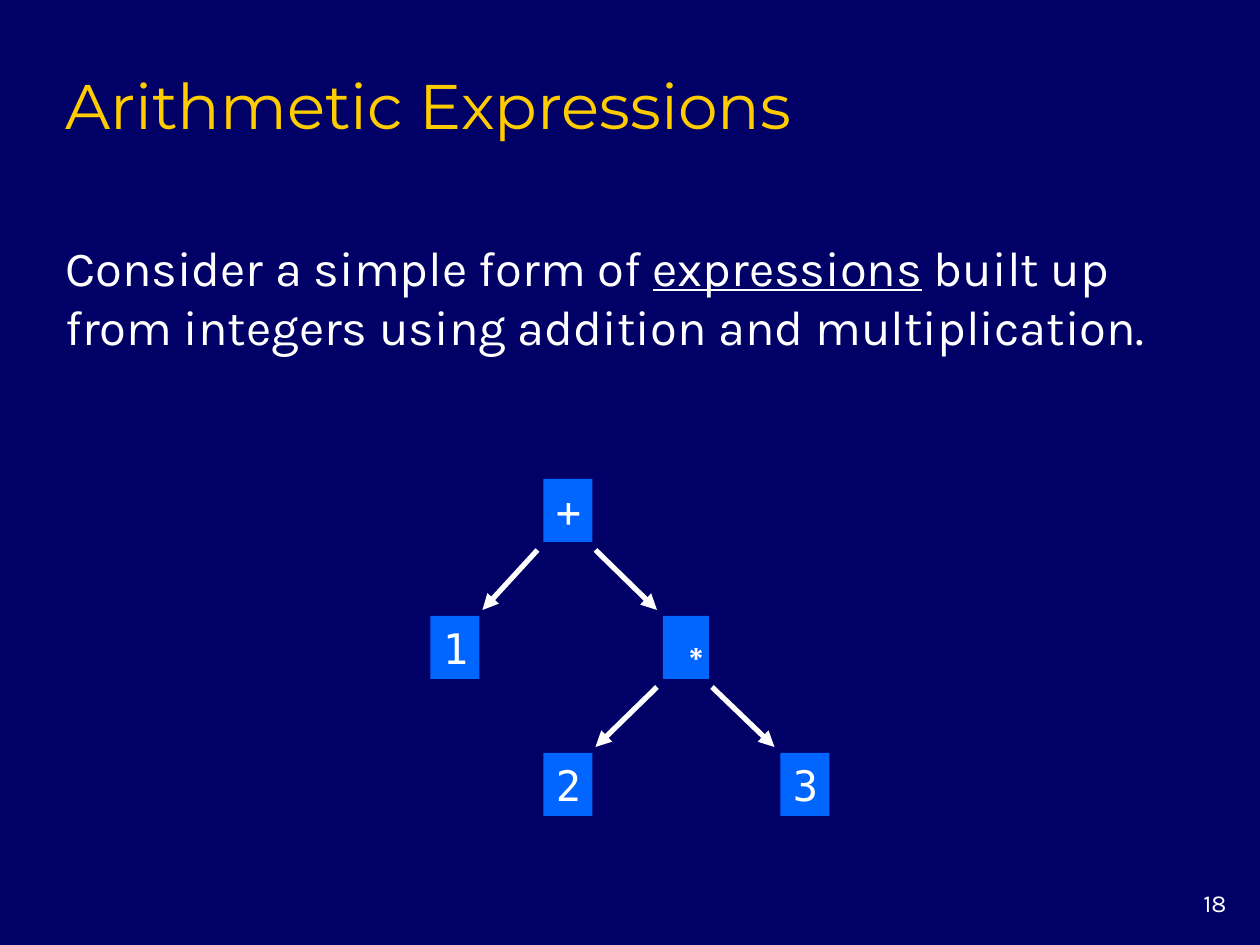
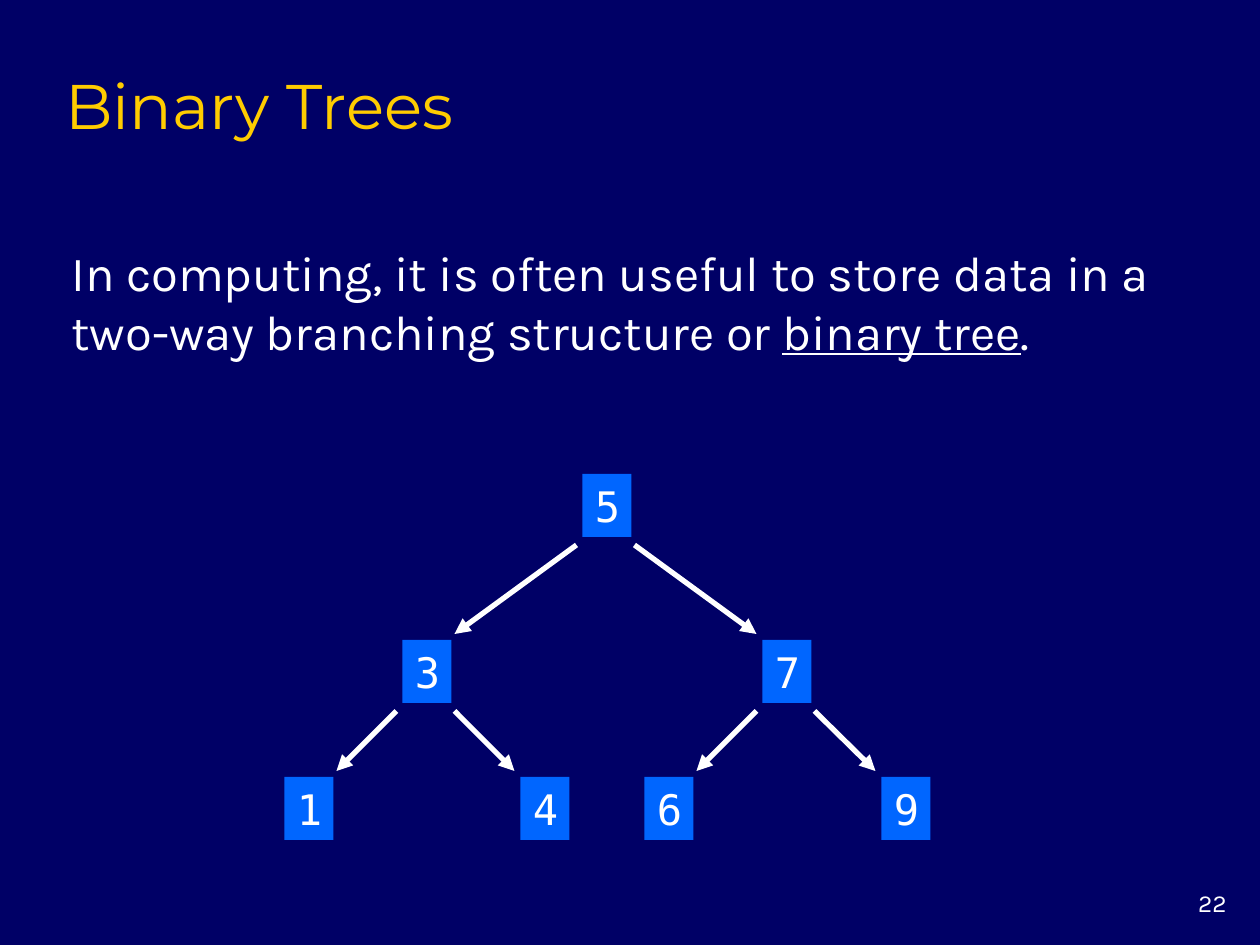
"""Build two slides that show an expression tree and a binary tree."""
from dataclasses import dataclass

from lxml import etree
from pptx import Presentation
from pptx.dml.color import RGBColor
from pptx.enum.shapes import MSO_CONNECTOR, MSO_SHAPE
from pptx.enum.text import MSO_ANCHOR, MSO_AUTO_SIZE, PP_ALIGN
from pptx.oxml.ns import qn
from pptx.util import Emu, Pt

RECTANGLE = MSO_SHAPE.RECTANGLE
STRAIGHT = MSO_CONNECTOR.STRAIGHT
TOP, MIDDLE, BOTTOM = MSO_ANCHOR.TOP, MSO_ANCHOR.MIDDLE, MSO_ANCHOR.BOTTOM
LEFT, CENTER, RIGHT = PP_ALIGN.LEFT, PP_ALIGN.CENTER, PP_ALIGN.RIGHT
FIT_SHAPE = MSO_AUTO_SIZE.SHAPE_TO_FIT_TEXT


@dataclass(frozen=True)
class Theme:
    """Colours, fonts and type sizes of the deck."""
    background: str = "000066"
    accent: str = "FFCC00"
    ink: str = "FFFFFF"
    node: str = "0066FF"
    title: tuple = ("Montserrat", 36)
    body: tuple = ("Karla", 28)
    number: tuple = ("Karla", 14)
    label: tuple = ("DejaVu Sans Mono", 24)
    operator: tuple = ("Arial", 24)
    edge_width: int = 3


THEME = Theme()

# Each node is (label, centre offset from parent, top offset from parent, children).
SLIDES = [
    {
        "title": "Arithmetic Expressions",
        "number": "18",
        "body": ("Consider a simple form of ", "expressions",
                 " built up from integers using addition and multiplication."),
        "body_box": (53, 231, 1147, 131),
        "root": (568, 479),
        "tree": ("+", 0, 0, [
            ("1", -113, 137, []),
            ("∗", 118, 137, [("2", -118, 137, []), ("3", 119, 137, [])]),
        ]),
    },
    {
        "title": "Binary Trees",
        "number": "22",
        "body": ("In computing, it is often useful to store data in a "
                 "two-way branching structure or ", "binary tree", "."),
        "body_box": (59, 236, 1129, 131),
        "root": (607, 474),
        "tree": ("5", 0, 0, [
            ("3", -180, 166, [("1", -118, 137, []), ("4", 118, 137, [])]),
            ("7", 180, 166, [("6", -118, 137, []), ("9", 119, 137, [])]),
        ]),
    },
]

PX = 914400 / 126
SLIDE_SIZE = (1260, 945)
TITLE_BOX = (53, 53, 1071, 95)
NUMBER_BOX = (1155, 882, 84, 42)
NODE_WIDTHS = {"∗": 46}
NODE_WIDTH, NODE_HEIGHT = 49, 63
GAP_LEFT, GAP_RIGHT, GAP_BELOW, GAP_ABOVE = 6, 3, 8, 6


def px(*lengths):
    return [Emu(round(length * PX)) for length in lengths]


def write(frame, parts, style, colour, align, anchor, underlined=None):
    frame.vertical_anchor = anchor
    paragraph = frame.paragraphs[0]
    paragraph.alignment = align
    for index, part in enumerate(parts):
        run = paragraph.add_run()
        run.text = part
        run.font.name, run.font.size = style[0], Pt(style[1])
        run.font.color.rgb = RGBColor.from_string(colour)
        if index == underlined:
            run.font.underline = True


def add_text(slide, box, *text):
    frame = slide.shapes.add_textbox(*px(*box)).text_frame
    frame.word_wrap = True
    write(frame, *text)


def add_node(slide, label, centre, top):
    width = NODE_WIDTHS.get(label, NODE_WIDTH)
    node = slide.shapes.add_shape(
        RECTANGLE, *px(centre - width / 2, top, width, NODE_HEIGHT))
    node.shadow.inherit = False
    node.fill.solid()
    node.fill.fore_color.rgb = RGBColor.from_string(THEME.node)
    node.line.fill.background()
    node.text_frame.word_wrap = False
    node.text_frame.auto_size = FIT_SHAPE
    style = THEME.operator if label == "∗" else THEME.label
    write(node.text_frame, [label], style, THEME.ink, CENTER, MIDDLE)


def add_edge(slide, start, end):
    edge = slide.shapes.add_connector(STRAIGHT, *px(*start, *end))
    edge.line.color.rgb = RGBColor.from_string(THEME.ink)
    edge.line.width = Pt(THEME.edge_width)
    etree.SubElement(edge.line._get_or_add_ln(), qn("a:tailEnd"), type="triangle")
    etree.SubElement(edge._element.spPr, qn("a:effectLst"))


def add_tree(slide, tree, x, y):
    label, _, _, children = tree
    add_node(slide, label, x, y)
    half = NODE_WIDTHS.get(label, NODE_WIDTH) / 2
    for child in children:
        name, dx, dy, _ = child
        child_half = NODE_WIDTHS.get(name, NODE_WIDTH) / 2
        if dx < 0:
            start_x = x - half - GAP_LEFT
            end_x = x + dx + child_half + GAP_RIGHT
        else:
            start_x = x + half + GAP_RIGHT
            end_x = x + dx - child_half - GAP_LEFT
        add_edge(slide, (start_x, y + NODE_HEIGHT + GAP_BELOW),
                 (end_x, y + dy - GAP_ABOVE))
        add_tree(slide, child, x + dx, y + dy)


def add_slide(deck, content):
    slide = deck.slides.add_slide(deck.slide_layouts[6])
    slide.background.fill.solid()
    slide.background.fill.fore_color.rgb = RGBColor.from_string(THEME.background)
    add_text(slide, NUMBER_BOX, [content["number"]], THEME.number, THEME.ink, RIGHT, TOP)
    add_text(slide, TITLE_BOX, [content["title"]], THEME.title, THEME.accent, LEFT, BOTTOM)
    add_text(slide, content["body_box"], content["body"], THEME.body, THEME.ink,
             LEFT, MIDDLE, 1)
    add_tree(slide, content["tree"], *content["root"])


def main():
    deck = Presentation()
    deck.slide_width, deck.slide_height = px(*SLIDE_SIZE)
    for content in SLIDES:
        add_slide(deck, content)
    deck.save("out.pptx")


if __name__ == "__main__":
    main()
